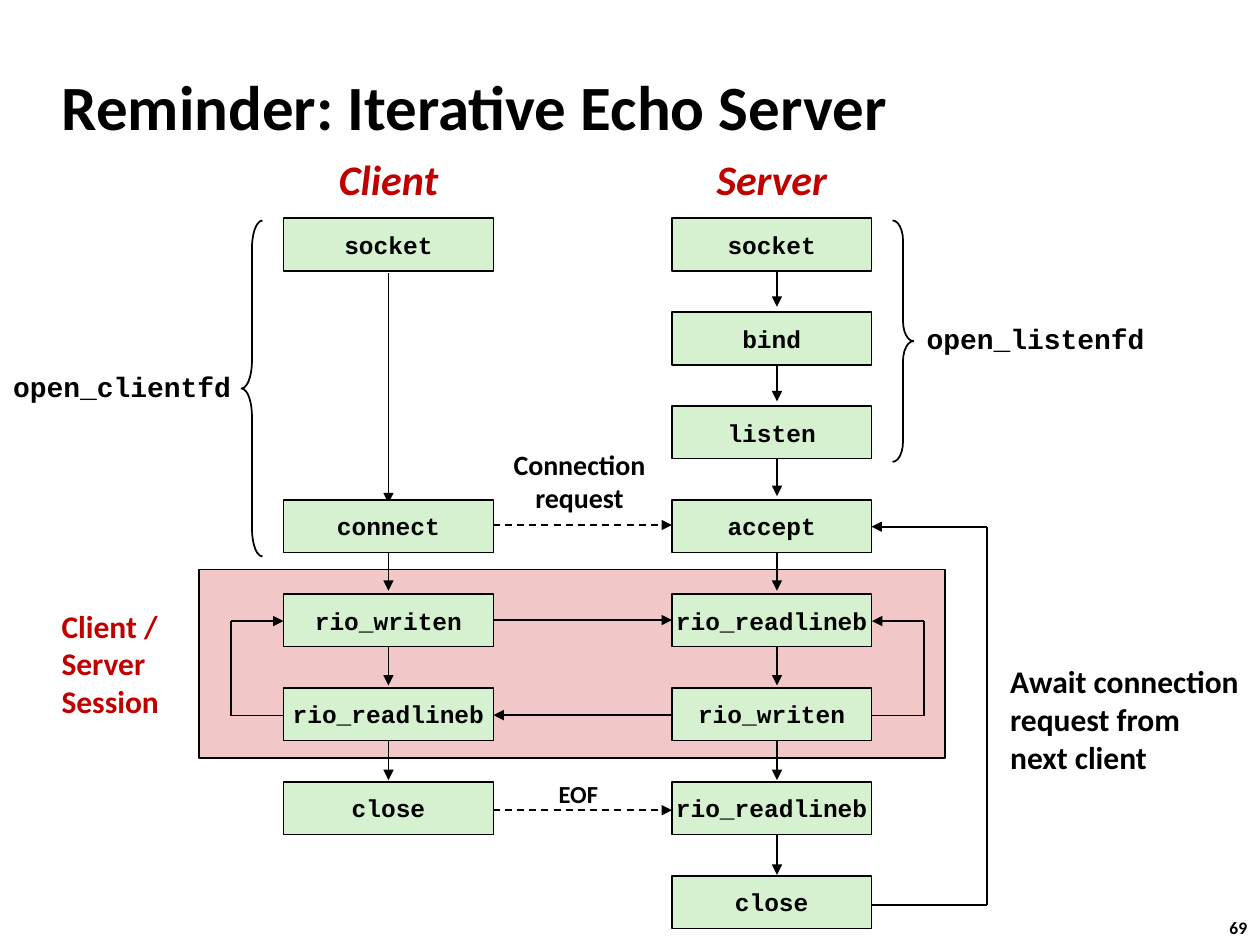
from collections import namedtuple

import pptx
import pptx.dml.color
import pptx.enum.dml
import pptx.enum.shapes
import pptx.enum.text
import pptx.oxml.ns
import pptx.util
from lxml import etree

Pt = pptx.util.Pt
ALIGN = pptx.enum.text.PP_ALIGN
ANCHOR = pptx.enum.text.MSO_ANCHOR
SHAPE = pptx.enum.shapes.MSO_SHAPE
Box = namedtuple("Box", "left top width height")

COLORS = {
    "text": "000000",
    "accent": "C00000",
    "call": "D5F1CF",
    "session": "F1C7C7",
}
CALL_HEIGHT, CALL_PITCH = 30.2, 53.7
STEP_START, STEP_PITCH, STEP_LENGTH = 26.8, 54.1, 24


def rgb(name):
    return pptx.dml.color.RGBColor.from_string(COLORS[name])


def place(box):
    return [Pt(length) for length in box]


def write(frame, lines, size, font="Calibri", color="text", align=ALIGN.CENTER,
          italic=None):
    frame.vertical_anchor = ANCHOR.MIDDLE
    frame.text = "\n".join(lines)
    for paragraph in frame.paragraphs:
        paragraph.alignment = align
        paragraph.font.name = font
        paragraph.font.size = Pt(size)
        paragraph.font.bold = True
        paragraph.font.italic = italic
        paragraph.font.color.rgb = rgb(color)


def add_label(slide, box, lines, size, wrap=False, **style):
    frame = slide.shapes.add_textbox(*place(box)).text_frame
    frame.word_wrap = wrap
    write(frame, lines, size, **style)


def add_outline(slide, kind, box, fill=None):
    shape = slide.shapes.add_shape(kind, *place(box))
    shape.shadow.inherit = False
    if fill:
        shape.fill.solid()
        shape.fill.fore_color.rgb = rgb(fill)
    else:
        shape.fill.background()
    shape.line.color.rgb = rgb("text")
    shape.line.width = Pt(1)
    return shape


def add_line(slide, start, end, arrow=True, dashed=False):
    connector = slide.shapes.add_connector(
        pptx.enum.shapes.MSO_CONNECTOR.STRAIGHT, *place(start + end))
    connector.line.color.rgb = rgb("text")
    connector.line.width = Pt(1)
    if dashed:
        connector.line.dash_style = pptx.enum.dml.MSO_LINE.DASH
    properties = connector._element.spPr
    if arrow:
        etree.SubElement(properties.find(pptx.oxml.ns.qn("a:ln")),
                         pptx.oxml.ns.qn("a:tailEnd"), type="triangle")
    etree.SubElement(properties, pptx.oxml.ns.qn("a:effectLst"))


def add_loop(slide, box, outer, inner_bottom, inner_top):
    """Leads from the bottom of the box out to the outer side and back to its top."""
    bottom = box.top + box.height
    corners = [(inner_bottom, bottom), (outer, bottom),
               (outer, box.top), (inner_top, box.top)]
    for start, end in zip(corners, corners[1:]):
        add_line(slide, start, end, arrow=end == corners[-1])


def add_title(slide, box, text):
    title = slide.shapes.title
    title.left, title.top, title.width, title.height = place(box)
    write(title.text_frame, [text], 36, align=ALIGN.LEFT)


def add_session(slide, box):
    add_outline(slide, SHAPE.RECTANGLE, box, "session")
    add_label(slide, Box(box.left - 85.7, box.top + 17.3, 74.2, 72.7),
              ["Client / Server", "Session"], 18, wrap=True, color="accent",
              align=ALIGN.LEFT)
    loop = Box(box.left + 18.2, box.top + 29.5, 396, 54)
    right = loop.left + loop.width
    add_loop(slide, loop, loop.left, loop.left + 30, loop.left + 30)
    add_loop(slide, loop, right, right - 29.7, right - 29.7)


def add_messages(slide, box):
    """Messages between the two columns, evenly spaced down the box."""
    right = box.left + box.width
    pitch = box.height / 3
    request, line, echo, eof = [box.top + pitch * row for row in range(4)]
    add_line(slide, (box.left - 42, request), (right, request), dashed=True)
    add_line(slide, (box.left, line), (right, line))
    add_line(slide, (right, echo), (box.left, echo))
    add_line(slide, (box.left - 42, eof), (right, eof), dashed=True)
    add_label(slide, Box(box.left + 3.8, request - 48.2, 90.7, 46),
              ["Connection", "request"], 16)
    add_label(slide, Box(box.left + 29.8, eof - 21.6, 37.4, 24.5), ["EOF"], 14)


def add_column(slide, box, heading, calls, axis):
    """A heading above calls by row number, joined by arrows along the axis."""
    add_label(slide, Box(box.left, box.top - 40.3, box.width, 36), [heading], 24,
              color="accent", italic=True)
    x = box.left + axis
    rows = list(calls)
    for row, following in zip(rows, rows[1:]):
        start = box.top + STEP_START + STEP_PITCH * row
        if following == row + 1:
            add_line(slide, (x, start), (x, start + STEP_LENGTH))
        else:
            add_line(slide, (x, start + 4.8),
                     (x, box.top + CALL_PITCH * following + 2))
    for row, call in calls.items():
        shape = add_outline(
            slide, SHAPE.RECTANGLE,
            Box(box.left, box.top + CALL_PITCH * row, box.width, CALL_HEIGHT), "call")
        shape.text_frame.word_wrap = False
        write(shape.text_frame, [call], 14, font="Courier New")


def add_helper(slide, box, kind, curve, label_box, name):
    """A brace round the calls that one helper function wraps."""
    brace = add_outline(slide, kind, box)
    brace.adjustments[0] = curve
    brace.adjustments[1] = 0.5
    add_label(slide, label_box, [name], 16, wrap=True, font="Courier New")


def add_next_client(slide, box):
    right = box.left + box.width
    add_loop(slide, box, right, box.left, box.left)
    add_label(slide, Box(right + 6.2, box.top + 73.4, 146.2, 72.7),
              ["Await connection", "request from", "next client"], 18,
              align=ALIGN.LEFT)


def main():
    deck = pptx.Presentation()
    deck.slide_width, deck.slide_height = Pt(720), Pt(540)
    slide = deck.slides.add_slide(deck.slide_layouts[5])

    add_title(slide, Box(28, 30, 598, 60), "Reminder: Iterative Echo Server")
    add_session(slide, Box(113.8, 325.4, 426.2, 108))
    add_messages(slide, Box(282, 300, 102, 163))
    add_column(slide, Box(162, 124.5, 120, 406), "Client",
               {0: "socket", 3: "connect", 4: "rio_writen",
                5: "rio_readlineb", 6: "close"}, axis=60)
    server_calls = ["socket", "bind", "listen", "accept", "rio_readlineb",
                    "rio_writen", "rio_readlineb", "close"]
    add_column(slide, Box(384, 124.5, 114, 406), "Server",
               dict(enumerate(server_calls)), axis=60)
    add_next_client(slide, Box(498, 301, 66, 216))
    add_helper(slide, Box(510, 126, 12, 138), SHAPE.RIGHT_BRACE, 0.96,
               Box(522, 180, 139.7, 26.6), "open_listenfd")
    add_helper(slide, Box(138, 126, 12, 192), SHAPE.LEFT_BRACE, 1.33,
               Box(0, 207.4, 139.7, 26.6), "open_clientfd")
    add_label(slide, Box(695.5, 520.6, 26.6, 19.4), ["69"], 10, align=ALIGN.LEFT)

    deck.save("out.pptx")


if __name__ == "__main__":
    main()
